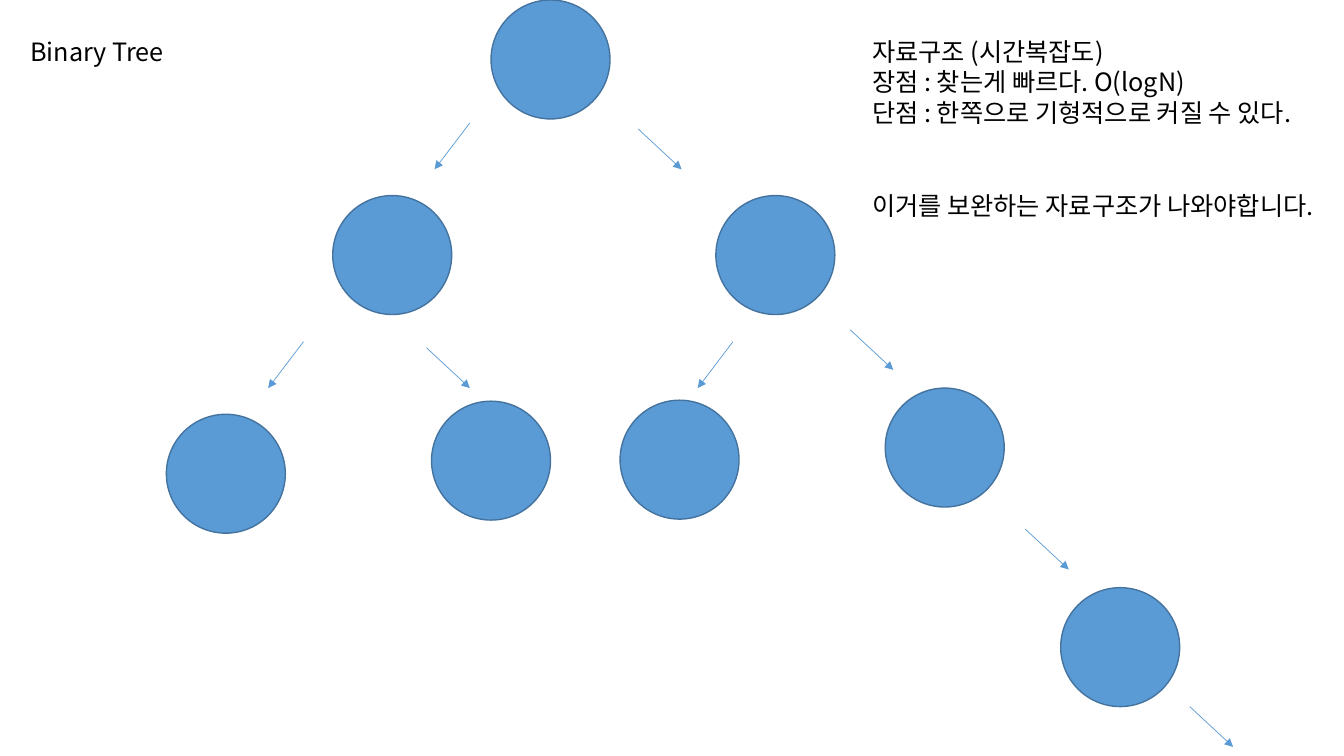
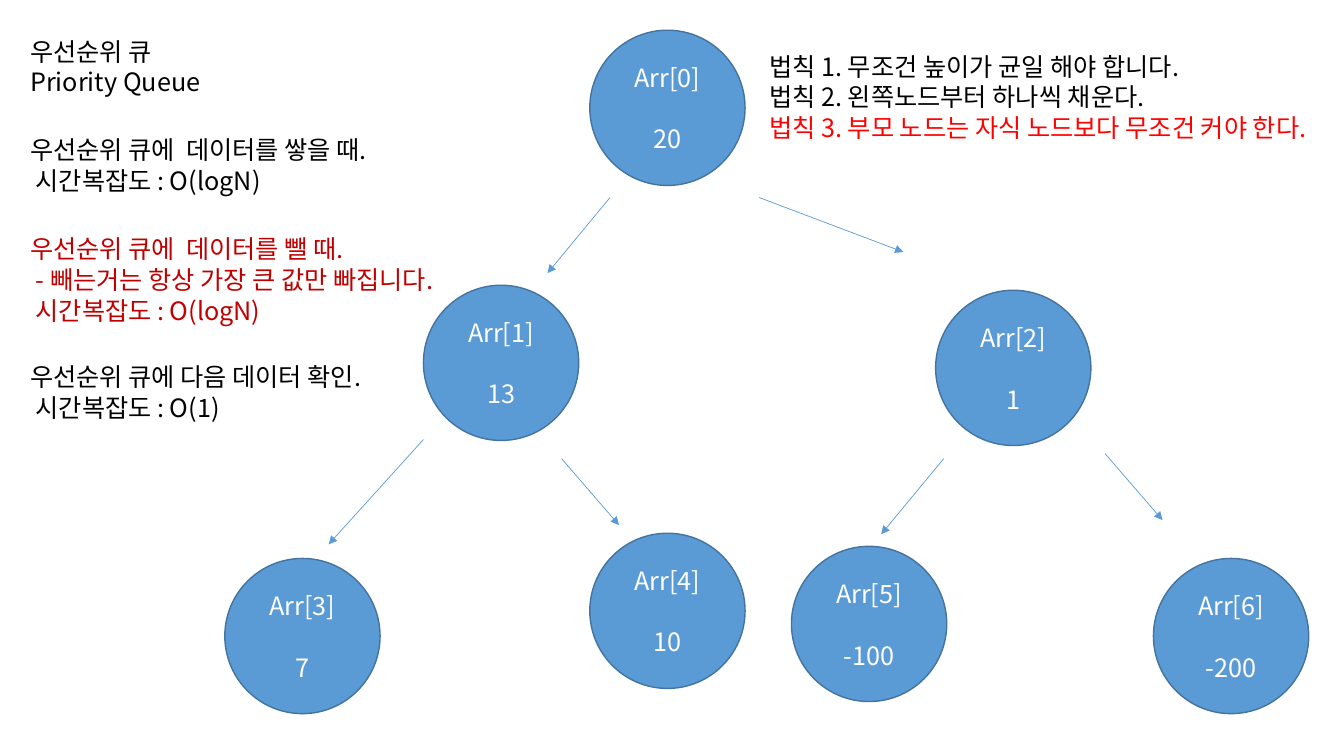
from dataclasses import dataclass

from lxml.etree import SubElement
from pptx import Presentation
from pptx.dml.color import RGBColor
from pptx.enum.shapes import MSO_CONNECTOR as Connector, MSO_SHAPE as Shape
from pptx.enum.text import MSO_ANCHOR as Anchor, MSO_AUTO_SIZE as AutoSize, PP_ALIGN as Align
from pptx.oxml.ns import qn
from pptx.slide import Slide
from pptx.text.text import TextFrame
from pptx.util import Inches, Pt


@dataclass(frozen=True)
class Theme:
    font: str = "Noto Sans CJK KR"
    size: int = 18
    line_pitch: int = 22
    text: str = "000000"
    node: str = "5B9BD5"
    node_edge: str = "43739E"
    node_text: str = "FFFFFF"
    removal: str = "C00000"
    key_rule: str = "FF0000"
    edge_width: float = 1
    arrow_width: float = 0.5


THEME = Theme()


@dataclass(frozen=True)
class Line:
    text: str
    color: str = THEME.text
    blank_lines: int = 0


@dataclass(frozen=True)
class Note:
    left: float
    top: float
    width: float
    height: float
    lines: tuple[Line, ...]


@dataclass(frozen=True)
class Node:
    left: float
    top: float
    label: str = ""
    value: str = ""


@dataclass(frozen=True)
class Arrow:
    x: float
    y: float
    dx: float
    dy: float


@dataclass(frozen=True)
class TreeSlide:
    title: Note
    body: Note
    asides: tuple[Note, ...]
    diameter: float
    nodes: tuple[Node, ...]
    arrows: tuple[Arrow, ...]


SMALL_LEFT = (-0.35, 0.46)
SMALL_RIGHT = (0.43, 0.4)
LARGE_LEFT = (-0.62, 0.75)
LARGE_RIGHT = (0.57, 0.66)

BINARY_TREE = TreeSlide(
    title=Note(0.2, 0.3, 1.63, 0.4, (Line("Binary Tree"),)),
    body=Note(8.55, 0.3, 4.85, 1.92, (
        Line("자료구조 (시간복잡도)"),
        Line("장점 : 찾는게 빠르다. O(logN)"),
        Line("단점 : 한쪽으로 기형적으로 커질 수 있다."),
        Line("이거를 보완하는 자료구조가 나와야합니다.", blank_lines=2),
    )),
    asides=(),
    diameter=1.18,
    nodes=(
        Node(4.87, 0),
        Node(3.3, 1.94), Node(7.1, 1.94),
        Node(1.65, 4.11), Node(4.28, 3.98), Node(6.15, 3.97), Node(8.78, 3.85),
        Node(10.52, 5.83),
    ),
    arrows=(
        Arrow(4.66, 1.22, *SMALL_LEFT), Arrow(6.33, 1.28, *SMALL_RIGHT),
        Arrow(3.01, 3.39, *SMALL_LEFT), Arrow(4.23, 3.45, *SMALL_RIGHT),
        Arrow(7.27, 3.39, *SMALL_LEFT), Arrow(8.43, 3.27, *SMALL_RIGHT),
        Arrow(10.17, 5.25, *SMALL_RIGHT), Arrow(11.8, 7.01, *SMALL_RIGHT),
    ),
)

PRIORITY_QUEUE = TreeSlide(
    title=Note(0.2, 0.3, 1.92, 0.71, (Line("우선순위 큐"), Line("Priority Queue"))),
    body=Note(7.53, 0.45, 5.94, 1.01, (
        Line("법칙 1. 무조건 높이가 균일 해야 합니다."),
        Line("법칙 2. 왼쪽노드부터 하나씩 채운다."),
        Line("법칙 3. 부모 노드는 자식 노드보다 무조건 커야 한다.", THEME.key_rule),
    )),
    asides=(
        Note(0.2, 1.28, 3.79, 0.71, (
            Line("우선순위 큐에  데이터를 쌓을 때."),
            Line(" 시간복잡도 : O(logN)"),
        )),
        Note(0.2, 2.26, 4.54, 1.01, (
            Line("우선순위 큐에  데이터를 뺄 때.", THEME.removal),
            Line(" - 빼는거는 항상 가장 큰 값만 빠집니다.", THEME.removal),
            Line(" 시간복잡도 : O(logN)", THEME.removal),
        )),
        Note(0.2, 3.53, 3.72, 0.71, (
            Line("우선순위 큐에 다음 데이터 확인."),
            Line(" 시간복잡도 : O(1)"),
        )),
    ),
    diameter=1.54,
    nodes=(
        Node(5.85, 0.3, "Arr[0]", "20"),
        Node(4.2, 2.83, "Arr[1]", "13"),
        Node(9.28, 2.88, "Arr[2]", "1"),
        Node(2.23, 5.54, "Arr[3]", "7"),
        Node(5.85, 5.29, "Arr[4]", "10"),
        Node(7.85, 5.42, "Arr[5]", "-100"),
        Node(11.44, 5.54, "Arr[6]", "-200"),
    ),
    arrows=(
        Arrow(6.05, 1.96, *LARGE_LEFT), Arrow(7.53, 1.96, 1.43, 0.54),
        Arrow(4.2, 4.36, -0.94, 1.04), Arrow(5.57, 4.55, *LARGE_RIGHT),
        Arrow(9.36, 4.55, *LARGE_LEFT), Arrow(10.96, 4.5, *LARGE_RIGHT),
    ),
)


def write_lines(frame: TextFrame, lines: tuple[Line, ...], align: Align, anchor: Anchor) -> None:
    frame.auto_size = AutoSize.NONE
    frame.word_wrap = False
    frame.vertical_anchor = anchor
    for index, line in enumerate(lines):
        paragraph = frame.add_paragraph() if index else frame.paragraphs[0]
        paragraph.text = line.text
        paragraph.alignment = align
        paragraph.line_spacing = Pt(THEME.line_pitch)
        paragraph.space_before = Pt(THEME.line_pitch * line.blank_lines)
        paragraph.space_after = Pt(0)
        font = paragraph.font
        font.size = Pt(THEME.size)
        font.name = THEME.font
        font.color.rgb = RGBColor.from_string(line.color)
        properties = paragraph._p.get_or_add_pPr()
        properties.set("marL", "0")
        properties.set("indent", "0")
        defaults = properties.find(qn("a:defRPr"))
        SubElement(defaults, qn("a:ea")).set("typeface", THEME.font)
        defaults.addprevious(properties.makeelement(qn("a:buNone"), {}))


def place_note(holder, note: Note) -> None:
    holder.left, holder.top = Inches(note.left), Inches(note.top)
    holder.width, holder.height = Inches(note.width), Inches(note.height)
    write_lines(holder.text_frame, note.lines, Align.LEFT, Anchor.TOP)


def draw_node(slide: Slide, node: Node, diameter: float) -> None:
    side = Inches(diameter)
    circle = slide.shapes.add_shape(Shape.OVAL, Inches(node.left), Inches(node.top), side, side)
    circle.shadow.inherit = False
    circle.fill.solid()
    circle.fill.fore_color.rgb = RGBColor.from_string(THEME.node)
    circle.line.color.rgb = RGBColor.from_string(THEME.node_edge)
    circle.line.width = Pt(THEME.edge_width)
    if node.label:
        lines = (Line(node.label, THEME.node_text), Line(node.value, THEME.node_text, 1))
        write_lines(circle.text_frame, lines, Align.CENTER, Anchor.MIDDLE)


def draw_arrow(slide: Slide, arrow: Arrow) -> None:
    link = slide.shapes.add_connector(
        Connector.STRAIGHT, Inches(arrow.x), Inches(arrow.y),
        Inches(arrow.x + arrow.dx), Inches(arrow.y + arrow.dy))
    link.line.color.rgb = RGBColor.from_string(THEME.node)
    link.line.width = Pt(THEME.arrow_width)
    SubElement(link.line._get_or_add_ln(), qn("a:tailEnd")).set("type", "triangle")
    SubElement(link._element.spPr, qn("a:effectLst"))


def build_slide(deck, content: TreeSlide) -> None:
    slide = deck.slides.add_slide(deck.slide_layouts.get_by_name("Title and Content"))
    place_note(slide.shapes.title, content.title)
    place_note(slide.placeholders[1], content.body)
    for node in content.nodes:
        draw_node(slide, node, content.diameter)
    for arrow in content.arrows:
        draw_arrow(slide, arrow)
    for aside in content.asides:
        place_note(slide.shapes.add_textbox(0, 0, 0, 0), aside)


def main() -> None:
    deck = Presentation()
    deck.slide_width, deck.slide_height = Inches(13.33), Inches(7.5)
    for content in (BINARY_TREE, PRIORITY_QUEUE):
        build_slide(deck, content)
    deck.save("out.pptx")


if __name__ == "__main__":
    main()
